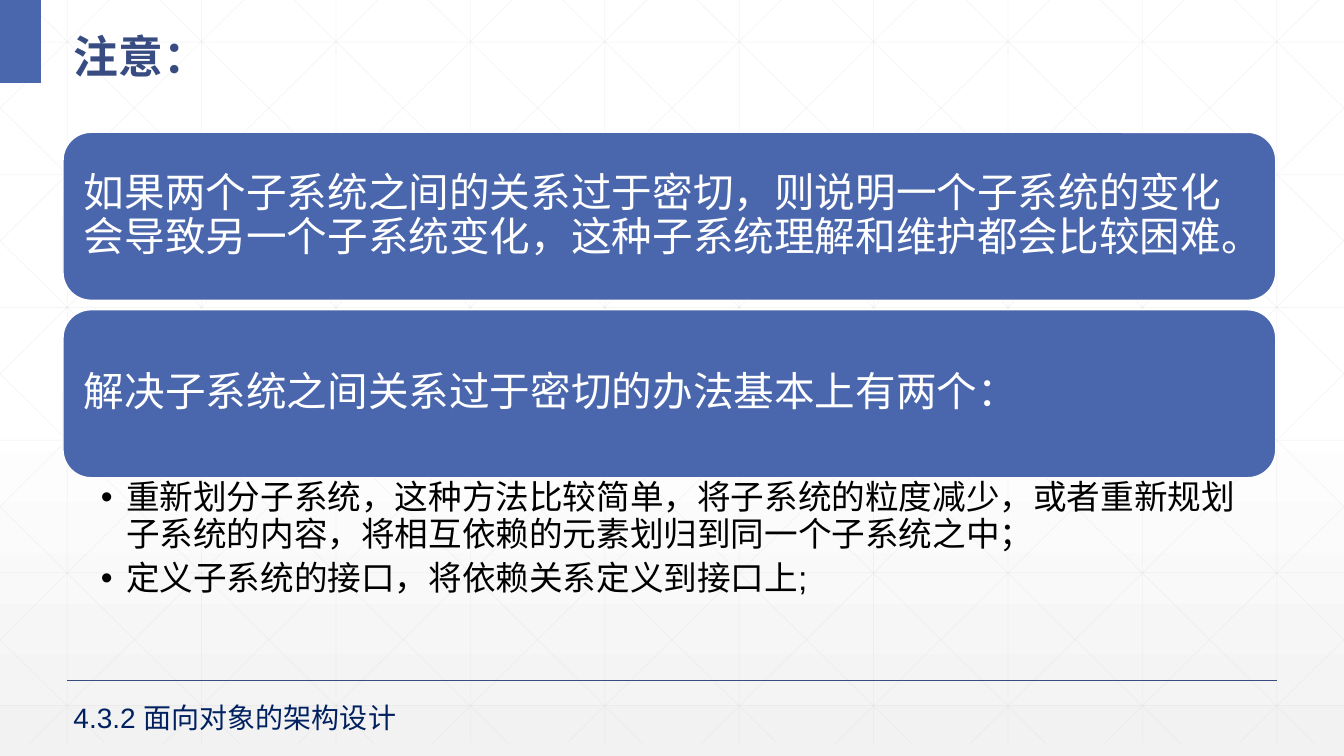
from dataclasses import dataclass, field

from lxml.etree import SubElement
from pptx import Presentation
from pptx.dml.color import RGBColor
from pptx.enum.shapes import MSO_CONNECTOR, MSO_SHAPE
from pptx.enum.text import MSO_ANCHOR, PP_ALIGN
from pptx.oxml.ns import qn
from pptx.util import Pt

PX = 9525
WIDE, HIGH = 1280, 720
FLOOR = 708
STEP = 128
RUN = 716
BLUE, NAVY, WHITE = "4A66AC", "384C81", "FFFFFF"
HAN = "Noto Sans CJK SC"


@dataclass
class Box:
    left: int
    top: int
    width: int
    height: int

    def emu(self) -> list[int]:
        return [n * PX for n in (self.left, self.top, self.width, self.height)]


@dataclass
class Text:
    lines: list[str]
    font: dict
    color: str
    pads: tuple[int, int, int, int] = (10, 5, 10, 5)
    frame: dict = field(default_factory=dict)
    para: dict = field(default_factory=dict)
    bullet: bool = False


@dataclass
class Rule:
    x1: float
    y1: float
    x2: float
    y2: float
    color: str = "D9D9D9"
    width: float = 0.5
    alpha: int = 25


def paint(target, color: str) -> None:
    target.rgb = RGBColor.from_string(color)


def style(target, values: dict) -> None:
    for name, value in values.items():
        setattr(target, name, value)


def draw_rule(slide, rule: Rule) -> None:
    ends = [round(n * PX) for n in (rule.x1, rule.y1, rule.x2, rule.y2)]
    line = slide.shapes.add_connector(MSO_CONNECTOR.STRAIGHT, *ends)
    line.line.width = Pt(rule.width)
    paint(line.line.color, rule.color)
    props = line._element.spPr
    if rule.alpha < 100:
        tone = props.find(".//" + qn("a:srgbClr"))
        SubElement(tone, qn("a:alpha"), val=str(rule.alpha * 1000))
    SubElement(props, qn("a:effectLst"))


def draw_shape(slide, kind: MSO_SHAPE, box: Box, edge: str = ""):
    shape = slide.shapes.add_shape(kind, *box.emu())
    shape.shadow.inherit = False
    shape.fill.solid()
    paint(shape.fill.fore_color, BLUE)
    if edge:
        shape.line.width = Pt(1)
        paint(shape.line.color, edge)
    else:
        shape.line.fill.background()
    return shape


def fill_text(shape, text: Text) -> None:
    frame = shape.text_frame
    sides = ("margin_left", "margin_top", "margin_right", "margin_bottom")
    style(frame, dict(zip(sides, [pad * PX for pad in text.pads])))
    style(frame, {"word_wrap": True, **text.frame})
    for i, words in enumerate(text.lines):
        para = frame.add_paragraph() if i else frame.paragraphs[0]
        style(para, {"alignment": PP_ALIGN.LEFT, **text.para})
        if text.bullet:
            props = para._p.get_or_add_pPr()
            props.set("marL", str(24 * PX))
            props.set("indent", str(-24 * PX))
            SubElement(props, qn("a:buFont"), typeface="Arial")
            SubElement(props, qn("a:buChar"), char="•")
        run = para.add_run()
        run.text = words
        style(run.font, text.font)
        paint(run.font.color, text.color)
        SubElement(run._r.get_or_add_rPr(), qn("a:ea"), typeface=HAN)


def draw_text(slide, box: Box, text: Text) -> None:
    fill_text(slide.shapes.add_textbox(*box.emu()), text)


def draw_back(slide) -> None:
    fill = slide.background.fill
    fill.gradient()
    fill.gradient_angle = 270
    for stop, spot, color in zip(fill.gradient_stops, (0.53, 1), (WHITE, "F2F2F2")):
        stop.position = spot
        paint(stop.color, color)


def grid() -> list[Rule]:
    rules = [Rule(64 + STEP * i, 0, 64 + STEP * i, FLOOR) for i in range(10)]
    rules += [Rule(0, 40 + 126.4 * i, WIDE, 40 + 126.4 * i) for i in range(6)]
    for i in range(-5, 10):
        start = 24 + STEP * i
        x1, x2 = max(start, 0), min(start + RUN, WIDE)
        y1, y2 = [(x - start) * FLOOR / RUN for x in (x1, x2)]
        rules.append(Rule(x1, y1, x2, y2))
        rules.append(Rule(WIDE - x1, y1, WIDE - x2, y2))
    return rules


def main() -> None:
    deck = Presentation()
    style(deck, {"slide_width": WIDE * PX, "slide_height": HIGH * PX})
    slide = deck.slides.add_slide(deck.slide_layouts[6])
    draw_back(slide)
    for rule in grid():
        draw_rule(slide, rule)
    draw_rule(slide, Rule(64, 648, 1216, 648, NAVY, 1, 100))
    draw_shape(slide, MSO_SHAPE.RECTANGLE, Box(0, 0, 39, 79))

    middle = {"vertical_anchor": MSO_ANCHOR.MIDDLE}
    title = {"name": HAN, "size": Pt(32), "bold": True}
    draw_text(slide, Box(60, 10, 1192, 70),
              Text(["注意："], title, NAVY, frame=middle, para={"line_spacing": 1.3}))

    cards = [
        "如果两个子系统之间的关系过于密切，则说明一个子系统的变化会导致另一个子系统变化，这种子系统理解和维护都会比较困难。",
        "解决子系统之间关系过于密切的办法基本上有两个：",
    ]
    for i, words in enumerate(cards):
        card = draw_shape(slide, MSO_SHAPE.ROUNDED_RECTANGLE,
                          Box(60, 126 + 169 * i, 1155, 160), WHITE)
        fill_text(card, Text([words], {"name": "Arial", "size": Pt(29)}, WHITE,
                             (12, 12, 12, 12), middle, {"line_spacing": 0.9}))

    ways = [
        "重新划分子系统，这种方法比较简单，将子系统的粒度减少，或者重新规划子系统的内容，将相互依赖的元素划归到同一个子系统之中；",
        "定义子系统的接口，将依赖关系定义到接口上;",
    ]
    draw_text(slide, Box(60, 455, 1155, 167),
              Text(ways, {"name": "Arial", "size": Pt(24)}, "000000", (36, 3, 18, 3),
                   para={"line_spacing": 0.9, "space_after": Pt(6)}, bullet=True))
    draw_text(slide, Box(60, 662, 450, 42),
              Text(["4.3.2 面向对象的架构设计"], {"name": "Arial", "size": Pt(20)}, "002060"))
    deck.save("out.pptx")


if __name__ == "__main__":
    main()
